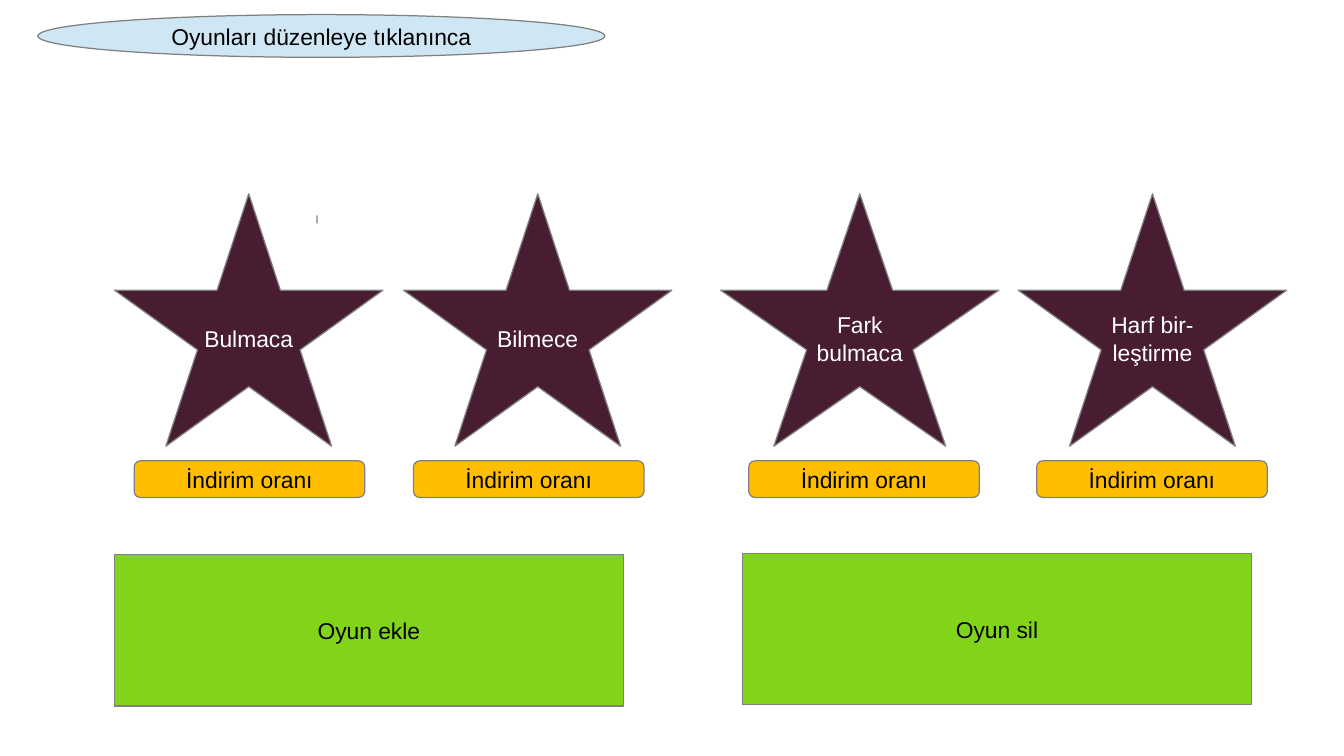
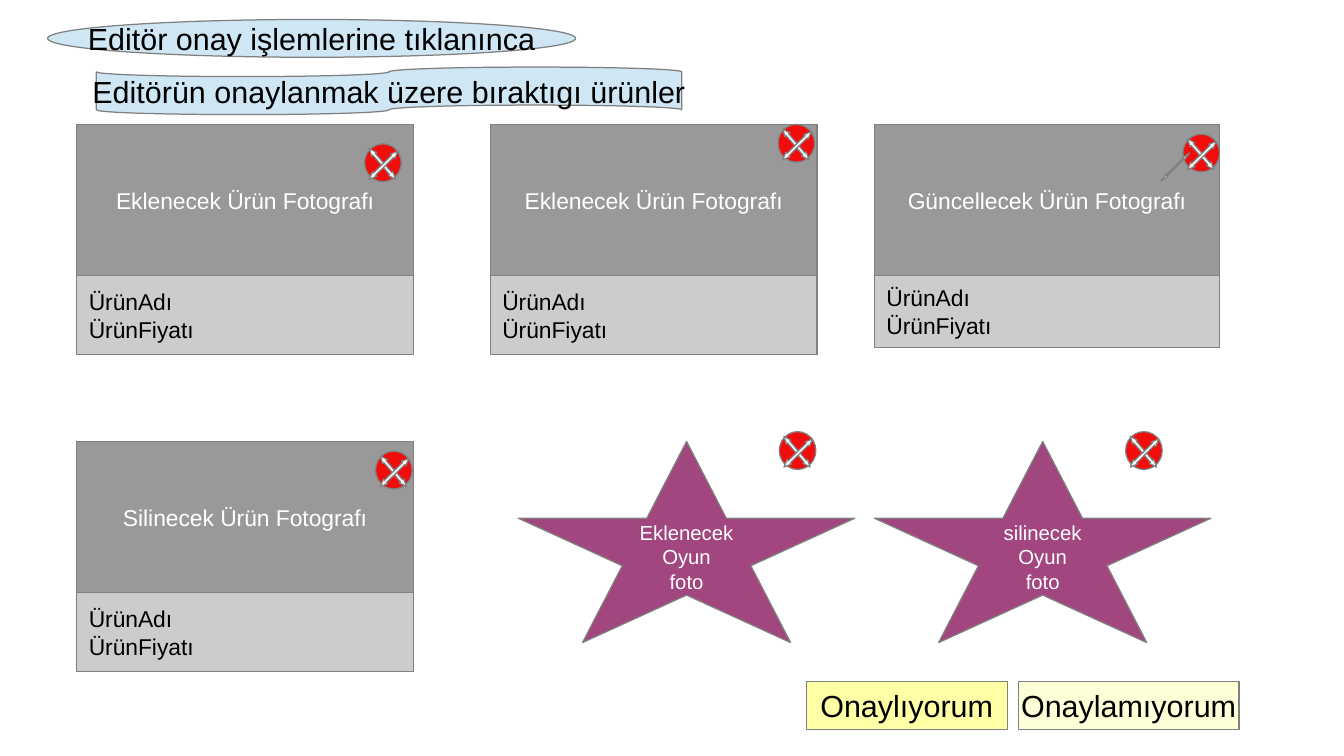
from dataclasses import dataclass

from pptx import Presentation
from pptx.dml.color import RGBColor
from pptx.enum import shapes, text
from pptx.util import Emu, Pt

PX = 9144
KIND = shapes.MSO_SHAPE


@dataclass(frozen=True)
class Theme:
    font: str = "Arial"
    title_size: float = 18
    body_size: float = 13.5
    small_size: float = 12
    ink: str = "000000"
    light: str = "FFFFFF"
    outline: str = "808080"
    band: str = "CFE7F5"
    game: str = "481D32"
    game_photo: str = "A1467E"
    discount: str = "FFBF00"
    action: str = "81D41A"
    photo: str = "999999"
    caption: str = "CCCCCC"
    badge: str = "F10D0C"
    approve: str = "FFFFA6"
    reject: str = "FFFFD7"


THEME = Theme()
SLIDE_SIZE = (1102, 620)

GAMES = [
    (94, 220, ["Bulmaca"], 110),
    (331, 220, ["Bilmece"], 339),
    (591, 228, ["Fark", "bulmaca"], 614),
    (835, 220, ["Harf bir-", "leştirme"], 850),
]
DISCOUNT = ["İndirim oranı"]
ACTIONS = [(94, 455, "Oyun ekle"), (609, 454, "Oyun sil")]

PRODUCT = ["ÜrünAdı", "ÜrünFiyatı"]
CARDS = [
    (63, 102, 276, 65, "Eklenecek Ürün Fotografı"),
    (402, 102, 268, 65, "Eklenecek Ürün Fotografı"),
    (717, 102, 283, 59, "Güncellecek Ürün Fotografı"),
    (63, 362, 276, 65, "Silinecek Ürün Fotografı"),
]
GAME_PHOTOS = [
    (425, ["Eklenecek", "Oyun", "foto"]),
    (717, ["silinecek", "Oyun", "foto"]),
]
BADGES = [(970, 110), (299, 118), (638, 102), (308, 370), (639, 354), (923, 354)]
DECISIONS = [
    (661, 165, "Onaylıyorum", THEME.approve),
    (835, 181, "Onaylamıyorum", THEME.reject),
]


def add_box(page, kind, place, fill, lines=(), size=THEME.body_size,
            color=THEME.ink, align=text.PP_ALIGN.CENTER):
    box = page.shapes.add_shape(kind, *(Emu(length * PX) for length in place))
    box.shadow.inherit = False
    box.fill.solid()
    box.fill.fore_color.rgb = RGBColor.from_string(fill)
    box.line.color.rgb = RGBColor.from_string(THEME.outline)
    box.line.width = Pt(0)
    frame = box.text_frame
    frame.word_wrap = align == text.PP_ALIGN.LEFT
    frame.vertical_anchor = text.MSO_ANCHOR.MIDDLE
    for number, line in enumerate(lines):
        para = frame.add_paragraph() if number else frame.paragraphs[0]
        para.alignment = align
        span = para.add_run()
        span.text = line
        span.font.name = THEME.font
        span.font.size = Pt(size)
        span.font.color.rgb = RGBColor.from_string(color)
    return box


def add_arrow(page, left, top, height, angle, head):
    arrow = add_box(page, KIND.LEFT_RIGHT_ARROW, (left, top, 33, height), THEME.light)
    arrow.adjustments[0] = 0.5
    arrow.adjustments[1] = head
    arrow.rotation = angle


def add_badge(page, left, top):
    add_box(page, KIND.OVAL, (left, top, 30, 31), THEME.badge)
    add_arrow(page, left - 2, top + 14, 5, 49.3, 1.22)
    add_arrow(page, left - 1, top + 15, 5, 135.5, 1.22)


def add_card(page, left, top, width, caption_height, label):
    photo_height = 124
    add_box(page, KIND.RECTANGLE, (left, top, width, photo_height),
            THEME.photo, [label], color=THEME.light)
    add_box(page, KIND.RECTANGLE, (left, top + photo_height, width, caption_height),
            THEME.caption, PRODUCT, align=text.PP_ALIGN.LEFT)


def build_games(page):
    add_box(page, KIND.OVAL, (31, 12, 465, 35), THEME.band,
            ["Oyunları düzenleye tıklanınca"])
    add_box(page, KIND.STAR_5_POINT, (260, 177, 0, 6), THEME.band)
    for left, width, name, discount_left in GAMES:
        add_box(page, KIND.STAR_5_POINT, (left, 159, width, 207),
                THEME.game, name, color=THEME.light)
        add_box(page, KIND.FLOWCHART_ALTERNATE_PROCESS, (discount_left, 378, 189, 30),
                THEME.discount, DISCOUNT)
    for left, top, label in ACTIONS:
        add_box(page, KIND.RECTANGLE, (left, top, 417, 124), THEME.action, [label])


def build_approvals(page):
    add_box(page, KIND.OVAL, (39, 16, 433, 31), THEME.band,
            ["Editör onay işlemlerine tıklanınca"], THEME.title_size)
    for card in CARDS:
        add_card(page, *card)
    add_box(page, KIND.FLOWCHART_PUNCHED_TAPE, (79, 55, 480, 39), THEME.band,
            ["Editörün onaylanmak üzere bıraktıgı ürünler"], THEME.title_size)
    for left, lines in GAME_PHOTOS:
        add_box(page, KIND.STAR_5_POINT, (left, 362, 276, 165), THEME.game_photo,
                lines, THEME.small_size, THEME.light)
    for left, top in BADGES:
        add_badge(page, left, top)
    add_arrow(page, 947, 136, 2, 135.5, 3.14)
    for left, width, label, fill in DECISIONS:
        add_box(page, KIND.RECTANGLE, (left, 559, width, 39), fill,
                [label], THEME.title_size)


def main():
    deck = Presentation()
    deck.slide_width, deck.slide_height = (Emu(side * PX) for side in SLIDE_SIZE)
    for build in (build_games, build_approvals):
        build(deck.slides.add_slide(deck.slide_layouts[6]))
    deck.save("out.pptx")


if __name__ == "__main__":
    main()
